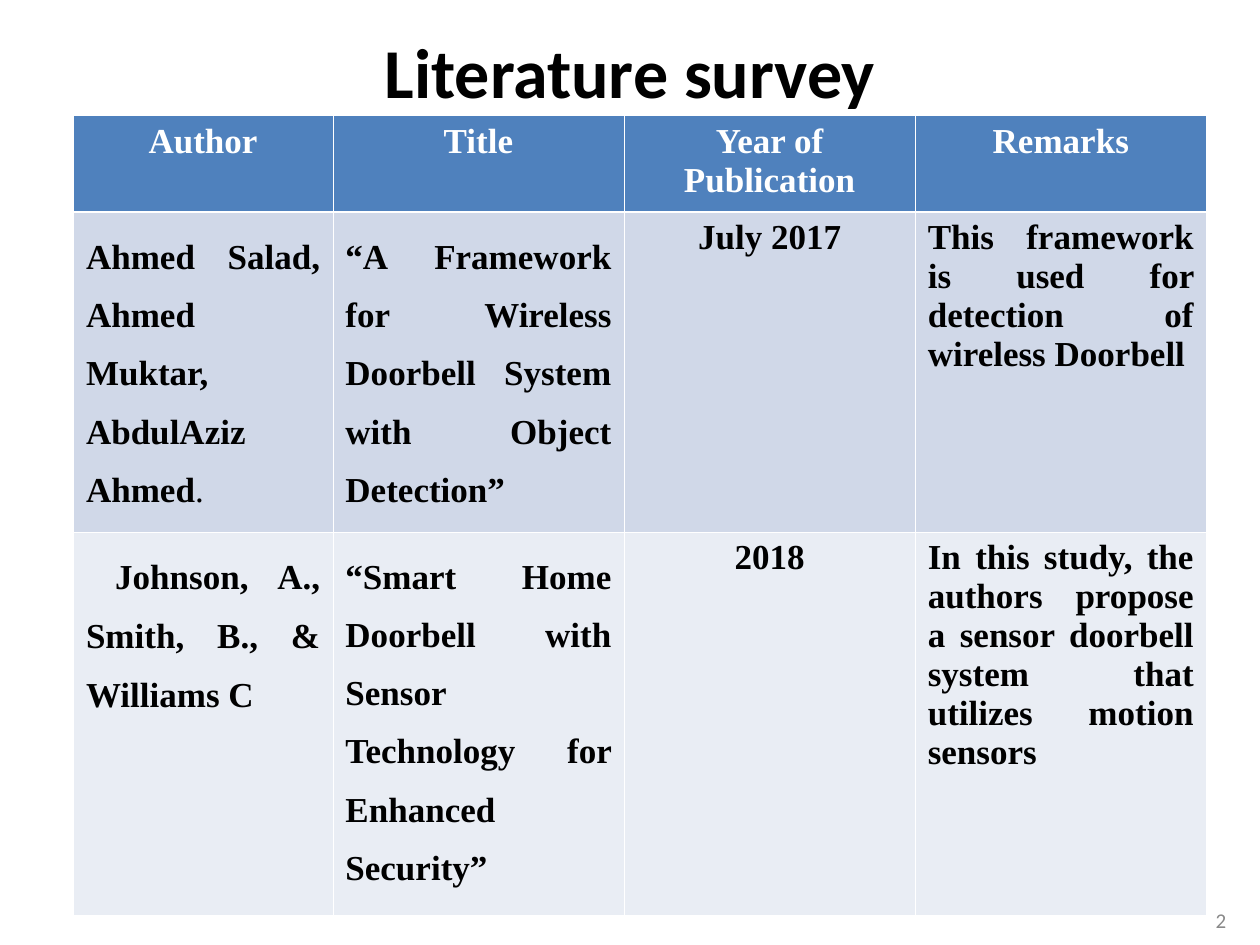
from lxml import etree
from pptx import Presentation
from pptx.dml.color import RGBColor
from pptx.enum.text import MSO_ANCHOR, MSO_AUTO_SIZE, PP_ALIGN
from pptx.oxml.ns import qn
from pptx.util import Cm, Pt

CENTER, JUSTIFY, RIGHT = PP_ALIGN.CENTER, PP_ALIGN.JUSTIFY, PP_ALIGN.RIGHT
MIDDLE = MSO_ANCHOR.MIDDLE
NO_AUTOFIT = MSO_AUTO_SIZE.NONE

BLACK = RGBColor(0x00, 0x00, 0x00)
WHITE = RGBColor(0xFF, 0xFF, 0xFF)
GRAY = RGBColor(0x89, 0x89, 0x89)
HEADER_BLUE = RGBColor(0x4F, 0x81, 0xBD)
ROW_FILLS = [HEADER_BLUE, RGBColor(0xD0, 0xD8, 0xE8), RGBColor(0xE9, 0xED, 0xF4)]

SANS, SERIF = "Calibri", "Times New Roman"
THIN, THICK = Pt(0.45), Pt(1.47)
TITLE_ONLY = 5

COLUMN_WIDTHS = [5.23, 5.87, 5.87, 5.87]
ROW_HEIGHTS = [1.95, 6.45, 7.72]
BODY_ALIGNMENTS = [JUSTIFY, JUSTIFY, CENTER, JUSTIFY]
BODY_SPACINGS = [1.5, 1.5, None, None]

# Each cell is a list of runs: text, then any differences from the cell style
SURVEY = [
    [[("Author", {})], [("Title", {})], [("Year of Publication", {})], [("Remarks", {})]],
    [
        [("Ahmed Salad, Ahmed Muktar, AbdulAziz Ahmed", {}), (".", {"bold": False})],
        [("“A Framework for Wireless Doorbell System with Object Detection”", {})],
        [("July 2017", {})],
        [("This framework is used for detection of wireless Doorbell", {})],
    ],
    [
        [(" ", {"font": SANS, "size": 18, "bold": False}),
         ("Johnson, A., Smith, B., & Williams C ", {})],
        [("“Smart Home Doorbell with Sensor Technology for Enhanced Security”", {})],
        [("2018", {})],
        [("In this study, the authors propose a sensor doorbell system "
          "that utilizes motion sensors", {})],
    ],
]


class SlideBuilder:
    def __init__(self, presentation):
        self.slide = presentation.slides.add_slide(presentation.slide_layouts[TITLE_ONLY])

    def add_run(self, paragraph, text, font=SERIF, size=20, bold=True, color=BLACK):
        run = paragraph.add_run()
        run.text = text
        run.font.name = font
        run.font.size = Pt(size)
        run.font.bold = bold
        run.font.color.rgb = color

    def title(self, text, left, top, width, height):
        shape = self.slide.shapes.title
        shape.left, shape.top = Cm(left), Cm(top)
        shape.width, shape.height = Cm(width), Cm(height)
        frame = shape.text_frame
        frame.auto_size = NO_AUTOFIT
        frame.vertical_anchor = MIDDLE
        frame.margin_left = frame.margin_right = frame.margin_top = frame.margin_bottom = 0
        paragraph = frame.paragraphs[0]
        paragraph.alignment = CENTER
        self.add_run(paragraph, text, SANS, 40)

    def text_box(self, text, left, top, width, height):
        shape = self.slide.shapes.add_textbox(Cm(left), Cm(top), Cm(width), Cm(height))
        frame = shape.text_frame
        frame.word_wrap = True
        frame.vertical_anchor = MIDDLE
        paragraph = frame.paragraphs[0]
        paragraph.alignment = RIGHT
        self.add_run(paragraph, text, SANS, 12, False, GRAY)

    def cell_borders(self, cell, row):
        widths = {
            "a:lnL": THIN,
            "a:lnR": THIN,
            "a:lnT": THICK if row == 1 else THIN,
            "a:lnB": THICK if row == 0 else THIN,
        }
        properties = cell._tc.get_or_add_tcPr()
        for tag, width in widths.items():
            line = etree.SubElement(properties, qn(tag), w=str(int(width)))
            fill = etree.SubElement(line, qn("a:solidFill"))
            etree.SubElement(fill, qn("a:srgbClr"), val=str(WHITE))

    def cell(self, cell, row, column, runs):
        is_header = row == 0
        self.cell_borders(cell, row)
        cell.fill.solid()
        cell.fill.fore_color.rgb = ROW_FILLS[row]
        paragraph = cell.text_frame.paragraphs[0]
        paragraph.alignment = CENTER if is_header else BODY_ALIGNMENTS[column]
        paragraph.line_spacing = None if is_header else BODY_SPACINGS[column]
        for text, style in runs:
            self.add_run(paragraph, text, color=WHITE if is_header else BLACK, **style)

    def table(self, rows, left, top):
        table = self.slide.shapes.add_table(
            len(rows), len(COLUMN_WIDTHS), Cm(left), Cm(top),
            Cm(sum(COLUMN_WIDTHS)), Cm(sum(ROW_HEIGHTS))).table
        for column, width in zip(table.columns, COLUMN_WIDTHS):
            column.width = Cm(width)
        for row, height in zip(table.rows, ROW_HEIGHTS):
            row.height = Cm(height)
        for row, cells in enumerate(rows):
            for column, runs in enumerate(cells):
                self.cell(table.cell(row, column), row, column, runs)


def main():
    presentation = Presentation()
    presentation.slide_width, presentation.slide_height = Cm(25.4), Cm(19.05)
    builder = SlideBuilder(presentation)

    # Heading
    builder.title("Literature survey", 1.27, 0.69, 22.86, 1.45)

    # Survey table
    builder.table(SURVEY, 1.48, 2.33)

    # Slide number
    builder.text_box("2", 19.05, 18.03, 5.92, 1.02)

    presentation.save("out.pptx")


if __name__ == "__main__":
    main()
